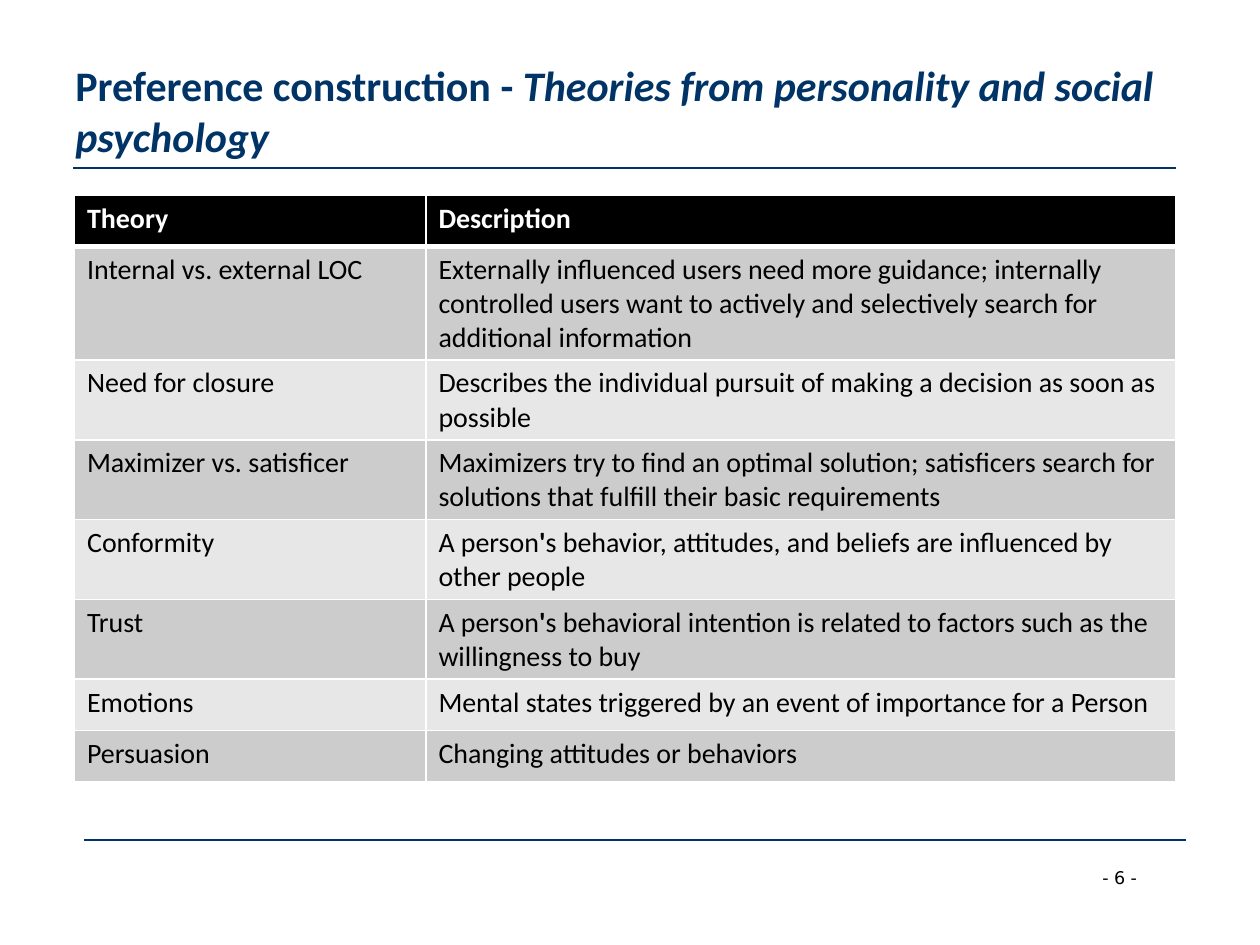
from dataclasses import dataclass

from lxml.etree import SubElement
from pptx import Presentation
from pptx.dml.color import RGBColor as Color
from pptx.enum.shapes import MSO_CONNECTOR as Connector
from pptx.enum.text import MSO_ANCHOR as Anchor, MSO_AUTO_SIZE as AutoSize
from pptx.oxml.ns import qn
from pptx.util import Pt


@dataclass(frozen=True)
class Theme:
    font: str = "Calibri"
    number_font: str = "DejaVu Sans"
    navy: str = "003366"
    black: str = "000000"
    white: str = "FFFFFF"
    bands: tuple = ("CCCCCC", "E7E7E7")
    title_size: float = 24
    table_size: float = 16
    number_size: float = 10
    rule_width: float = 0.75
    grid_width: float = 1
    header_rule_width: float = 3


THEME = Theme()

COLUMN_WIDTHS = (200.8, 428.4)
ROW_HEIGHT = 29.3
ROWS = (
    ("Theory", "Description"),
    ("Internal vs. external LOC",
     "Externally influenced users need more guidance; internally controlled "
     "users want to actively and selectively search for additional information"),
    ("Need for closure",
     "Describes the individual pursuit of making a decision as soon as possible"),
    ("Maximizer vs. satisficer",
     "Maximizers try to find an optimal solution; satisficers search for "
     "solutions that fulfill their basic requirements"),
    ("Conformity",
     "A person's behavior, attitudes, and beliefs are influenced by other people"),
    ("Trust",
     "A person's behavioral intention is related to factors such as the "
     "willingness to buy"),
    ("Emotions", "Mental states triggered by an event of importance for a Person"),
    ("Persuasion", "Changing attitudes or behaviors"),
)


def add_span(para, text, font, size, color, bold=False, italic=False):
    span = para.add_run()
    span.text = text
    span.font.name = font
    span.font.size = Pt(size)
    span.font.color.rgb = Color.from_string(color)
    span.font.bold = bold
    span.font.italic = italic


def add_rule(page, left, top, width):
    rule = page.shapes.add_connector(
        Connector.STRAIGHT, Pt(left), Pt(top), Pt(left + width), Pt(top))
    rule.line.color.rgb = Color.from_string(THEME.navy)
    rule.line.width = Pt(THEME.rule_width)
    SubElement(rule._element.spPr, qn("a:effectLst"))


def add_title(page, plain, emphasis):
    box = page.shapes.add_textbox(Pt(36), Pt(18), Pt(648), Pt(90))
    frame = box.text_frame
    frame.word_wrap = True
    frame.vertical_anchor = Anchor.MIDDLE
    for text, italic in ((plain, False), (emphasis, True)):
        add_span(frame.paragraphs[0], text, THEME.font, THEME.title_size,
                 THEME.navy, bold=True, italic=italic)


def add_page_number(page, text):
    box = page.shapes.add_textbox(Pt(622.8), Pt(491.8), Pt(54.7), Pt(19.4))
    frame = box.text_frame
    frame.word_wrap = False
    frame.auto_size = AutoSize.SHAPE_TO_FIT_TEXT
    add_span(frame.paragraphs[0], text, THEME.number_font,
             THEME.number_size, THEME.black)


def set_borders(cell, top, bottom):
    properties = cell._tc.get_or_add_tcPr()
    sides = {"L": THEME.grid_width, "R": THEME.grid_width, "T": top, "B": bottom}
    for side, width in sides.items():
        line = SubElement(properties, qn(f"a:ln{side}"), w=str(Pt(width)))
        fill = SubElement(line, qn("a:solidFill"))
        SubElement(fill, qn("a:srgbClr"), val=THEME.white)


def fill_cell(cell, text, row):
    header = row == 0
    set_borders(
        cell,
        top=THEME.header_rule_width if row == 1 else THEME.grid_width,
        bottom=THEME.header_rule_width if header else THEME.grid_width)
    fill = THEME.black if header else THEME.bands[(row - 1) % 2]
    cell.fill.solid()
    cell.fill.fore_color.rgb = Color.from_string(fill)
    para = cell.text_frame.paragraphs[0]
    for part in filter(None, text.partition("'")):
        add_span(para, part, THEME.font, THEME.table_size,
                 THEME.white if header else THEME.black,
                 bold=header or part == "'")


def add_theory_table(page):
    table = page.shapes.add_table(
        len(ROWS), len(COLUMN_WIDTHS), Pt(42.6), Pt(111.6),
        Pt(sum(COLUMN_WIDTHS)), Pt(ROW_HEIGHT * len(ROWS))).table
    for column, width in zip(table.columns, COLUMN_WIDTHS):
        column.width = Pt(width)
    for row, texts in enumerate(ROWS):
        table.rows[row].height = Pt(ROW_HEIGHT)
        for column, text in enumerate(texts):
            fill_cell(table.cell(row, column), text, row)


def main():
    deck = Presentation()
    deck.slide_width, deck.slide_height = Pt(720), Pt(540)
    page = deck.slides.add_slide(deck.slide_layouts[6])
    add_rule(page, 42, 96, 630)
    add_page_number(page, "- 6 -")
    add_rule(page, 48, 480, 630)
    add_title(page, "Preference construction - ",
              "Theories from personality and social psychology")
    add_theory_table(page)
    deck.save("out.pptx")


if __name__ == "__main__":
    main()
